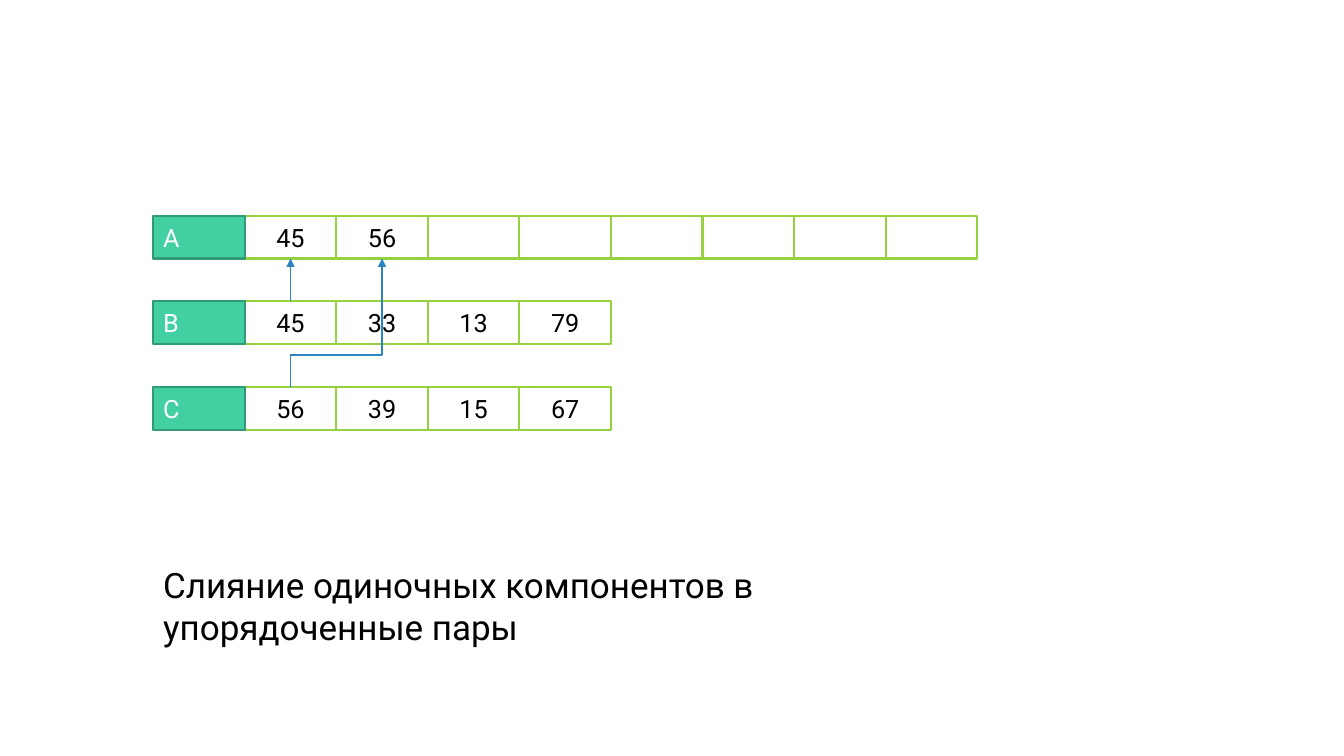
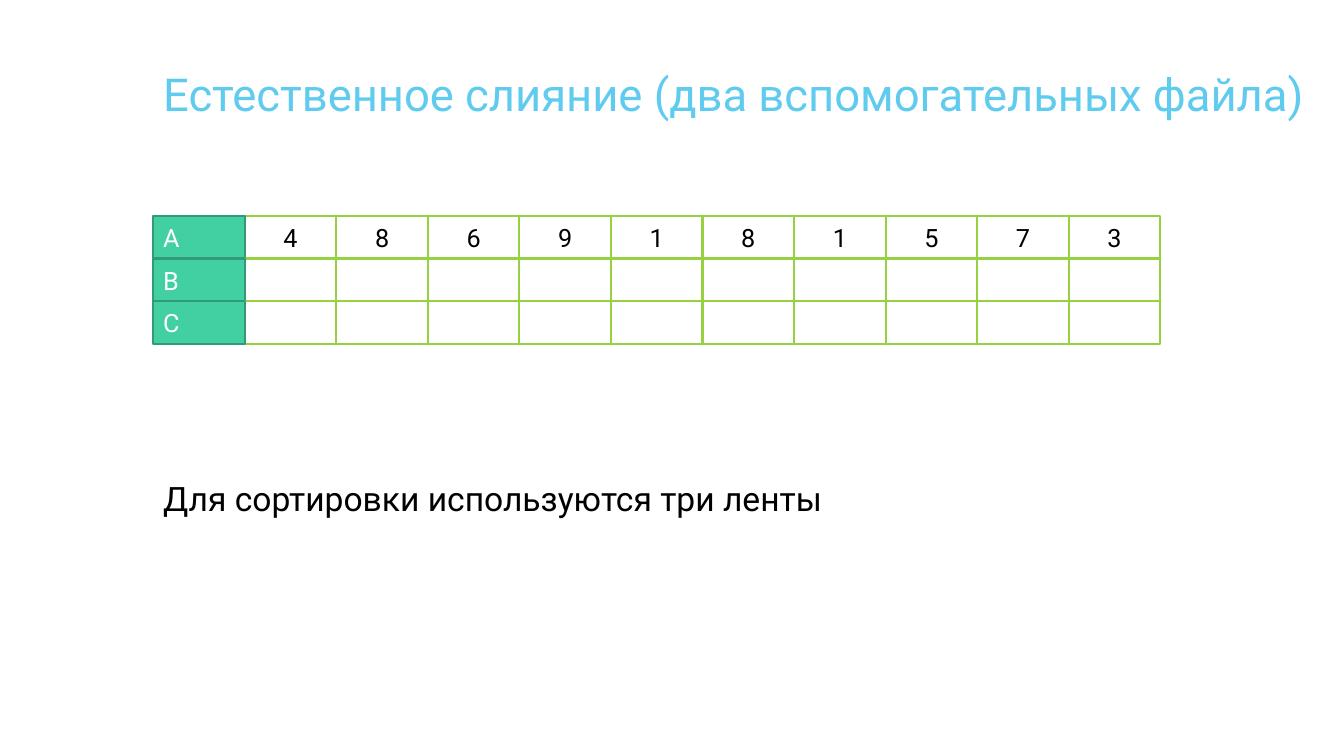
from lxml import etree
from pptx import Presentation
from pptx.dml.color import RGBColor
from pptx.enum.shapes import MSO_CONNECTOR, MSO_SHAPE
from pptx.enum.text import MSO_ANCHOR, PP_ALIGN
from pptx.oxml.ns import qn
from pptx.util import Inches, Pt

RECTANGLE = MSO_SHAPE.RECTANGLE
STRAIGHT, ELBOW = MSO_CONNECTOR.STRAIGHT, MSO_CONNECTOR.ELBOW
LEFT, CENTER = PP_ALIGN.LEFT, PP_ALIGN.CENTER
TOP, MIDDLE = MSO_ANCHOR.TOP, MSO_ANCHOR.MIDDLE

WHITE = RGBColor(0xFF, 0xFF, 0xFF)
BLACK = RGBColor(0x00, 0x00, 0x00)
CELL_EDGE = RGBColor(0x96, 0xD1, 0x41)
LABEL_FILL = RGBColor(0x42, 0xD0, 0xA2)
LABEL_EDGE = RGBColor(0x31, 0x9A, 0x78)
ARROW_BLUE = RGBColor(0x2E, 0x83, 0xC3)
TITLE_BLUE = RGBColor(0x5F, 0xCB, 0xEF)
FONT = "Roboto"

# Grid of tape cells, in inches
SLIDE_W, SLIDE_H = 13.33, 7.5
GRID_X, GRID_Y = 1.52, 2.14
COL_W = 9.08 / 10
ROW_H = 1.7 / 4


def col_x(col):
    return GRID_X + col * COL_W


def row_y(row):
    return GRID_Y + row * ROW_H


def write_text(shape, text, size=18, color=BLACK, align=LEFT, anchor=TOP):
    frame = shape.text_frame
    frame.word_wrap = True
    frame.vertical_anchor = anchor
    paragraph = frame.paragraphs[0]
    paragraph.alignment = align
    run = paragraph.add_run()
    run.text = text
    run.font.name = FONT
    run.font.size = Pt(size)
    run.font.color.rgb = color


def add_text(slide, text, top, width, height, **text_format):
    box = slide.shapes.add_textbox(
        Inches(GRID_X), Inches(top), Inches(width), Inches(height))
    write_text(box, text, **text_format)


def add_cell(slide, col, row, text, fill=WHITE, edge=CELL_EDGE, **text_format):
    cell = slide.shapes.add_shape(
        RECTANGLE, Inches(col_x(col)), Inches(row_y(row)), Inches(COL_W), Inches(ROW_H))
    cell.shadow.inherit = False
    cell.fill.solid()
    cell.fill.fore_color.rgb = fill
    cell.line.color.rgb = edge
    cell.line.width = Pt(1.5)
    if text:
        write_text(cell, text, anchor=MIDDLE, **text_format)


def add_tape(slide, row, label, values, length):
    """Draw a tape of cells, padded with empty ones, and its label on top."""
    padded = values + [""] * (length - len(values))
    for col, value in enumerate(padded, start=1):
        add_cell(slide, col, row, value, align=CENTER)
    add_cell(slide, 0, row, label, fill=LABEL_FILL, edge=LABEL_EDGE, color=WHITE)


def add_arrow(slide, kind, x1, y1, x2, y2):
    arrow = slide.shapes.add_connector(
        kind, Inches(x1), Inches(y1), Inches(x2), Inches(y2))
    arrow.line.color.rgb = ARROW_BLUE
    arrow.line.width = Pt(1)
    etree.SubElement(arrow.line._get_or_add_ln(), qn("a:tailEnd"), type="triangle")
    etree.SubElement(arrow._element.spPr, qn("a:effectLst"))
    return arrow


def add_rising_elbow(slide, x1, y1, x2, y2, bend):
    """An elbow leaves sideways, so lay it flat and turn it by 90 degrees."""
    mid_x, mid_y = (x1 + x2) / 2, (y1 + y2) / 2
    half_w, half_h = (y1 - y2) / 2, (x2 - x1) / 2
    elbow = add_arrow(slide, ELBOW, mid_x + half_w, mid_y + half_h,
                      mid_x - half_w, mid_y - half_h)
    properties = elbow._element.spPr
    properties.find(qn("a:xfrm")).set("rot", str(90 * 60000))
    adjustments = properties.find(qn("a:prstGeom")).find(qn("a:avLst"))
    etree.SubElement(adjustments, qn("a:gd"), name="adj1",
                     fmla=f"val {round(bend * 100000)}")


def build_pair_merge(slide):
    # Tapes, with an empty row between them
    add_tape(slide, 0, "A", ["45", "56"], 8)
    add_tape(slide, 4, "C", ["56", "39", "15", "67"], 4)
    add_tape(slide, 2, "B", ["45", "33", "13", "79"], 4)

    # Moves from the first cells of B and C into A
    first_x, second_x = col_x(1.5), col_x(2.5)
    add_arrow(slide, STRAIGHT, first_x, row_y(2), first_x, row_y(1))
    add_rising_elbow(slide, first_x, row_y(4), second_x, row_y(1), bend=0.25)

    add_text(slide, "Слияние одиночных компонентов в упорядоченные пары",
             5.54, SLIDE_W / 2, SLIDE_H / 8, size=25)


def build_natural_merge(slide):
    # Three adjoining tapes
    tapes = {"A": list("4869181573"), "B": [], "C": []}
    for row, (label, values) in enumerate(tapes.items()):
        add_tape(slide, row, label, values, 10)

    # Title and caption
    add_text(slide, "Естественное слияние (два вспомогательных файла)",
             0.61, 12.06, 0.97, size=32.4, color=TITLE_BLUE)
    add_text(slide, "Для сортировки используются три ленты",
             4.69, 7, SLIDE_H / 15, size=24)


def main():
    deck = Presentation()
    deck.slide_width, deck.slide_height = Inches(SLIDE_W), Inches(SLIDE_H)
    blank = deck.slide_layouts[6]
    for build in (build_pair_merge, build_natural_merge):
        build(deck.slides.add_slide(blank))
    deck.save("out.pptx")


main()
